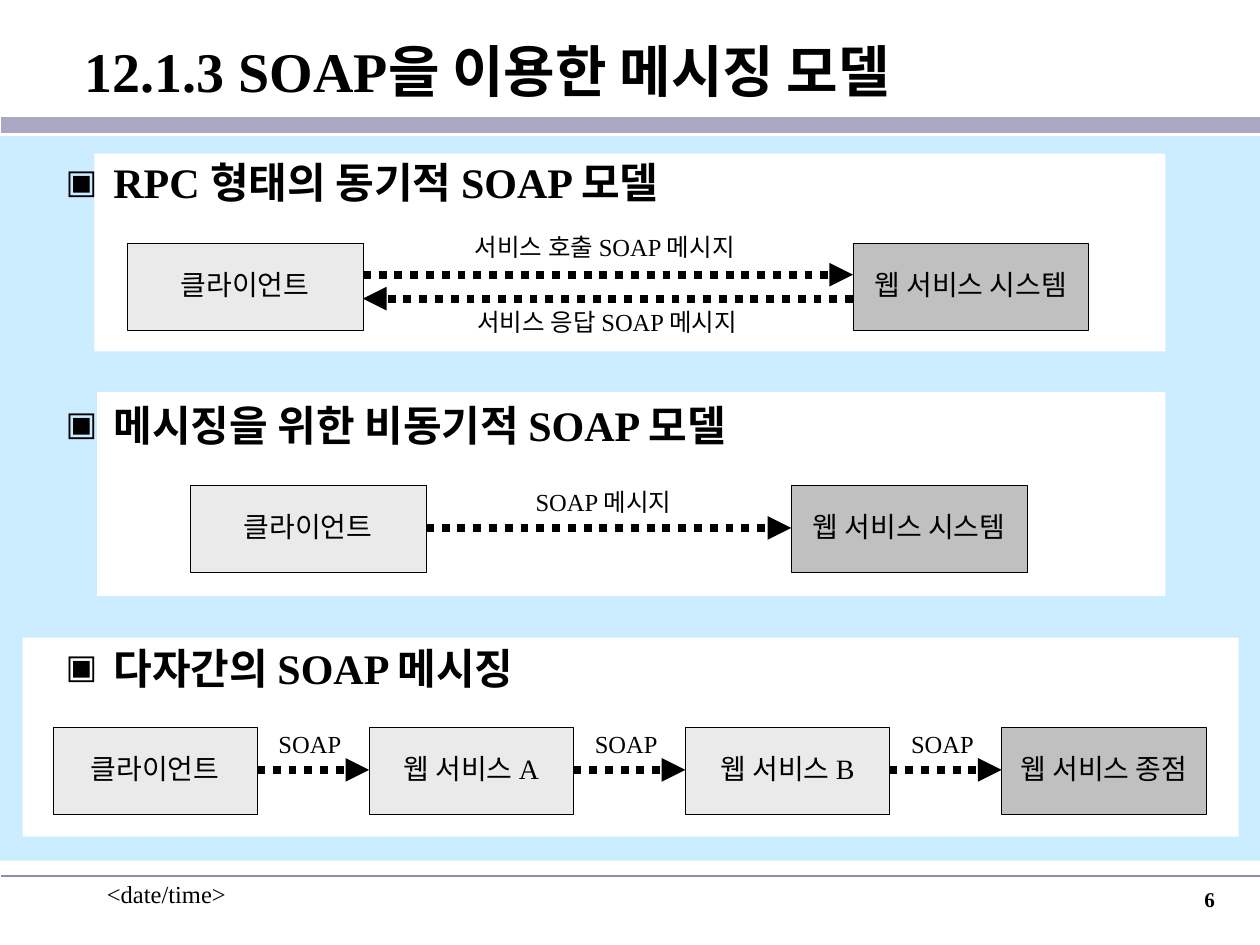
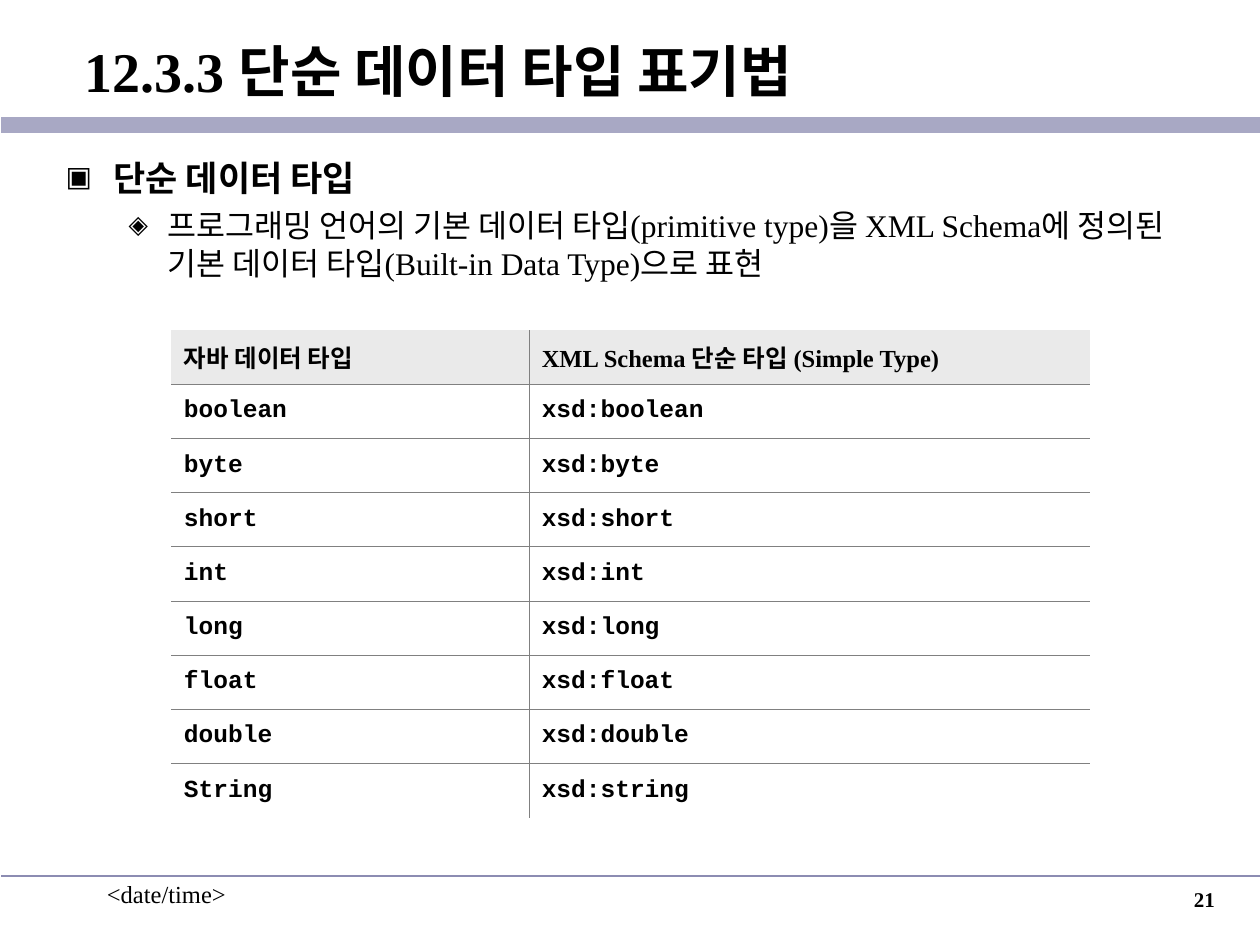
import pptx
import pptx.util
import pptx.dml.color
import pptx.enum.dml
import pptx.enum.shapes
import pptx.enum.text
import pptx.oxml
import pptx.oxml.ns
from lxml import etree

Inches = pptx.util.Inches
Pt = pptx.util.Pt
PP_ALIGN = pptx.enum.text.PP_ALIGN
ANCHOR = pptx.enum.text.MSO_ANCHOR

COLORS = {
    "text": "000000",
    "band": "A8A8C4",
    "footer_rule": "8C8CB2",
    "backdrop": "CCECFF",
    "panel": "FFFFFF",
    "node": "EAEAEA",
    "endpoint": "C0C0C0",
    "grid": "808080",
}
TEXT_FONT = "Times New Roman"
CODE_FONT = "Courier New"
NODE_HEIGHT = 0.69


def color(name):
    return pptx.dml.color.RGBColor.from_string(COLORS[name])


def add_element(parent, tag, **attributes):
    return etree.SubElement(parent, pptx.oxml.ns.qn(tag), attributes)


def add_run(paragraph, text, size, bold=False, font=TEXT_FONT):
    run = paragraph.add_run()
    run.text = text
    run.font.name = font
    run.font.size = Pt(size)
    run.font.bold = bold
    run.font.color.rgb = color("text")


# Shared slide parts
def add_line(slide, start, end, color_name, width):
    line = slide.shapes.add_connector(
        pptx.enum.shapes.MSO_CONNECTOR.STRAIGHT,
        Inches(start[0]), Inches(start[1]), Inches(end[0]), Inches(end[1]))
    line.line.color.rgb = color(color_name)
    line.line.width = Pt(width)
    add_element(line._element.spPr, "a:effectLst")
    return line


def add_text(slide, left, top, width, height, text, size, bold=False,
             align=PP_ALIGN.LEFT, wrap=True):
    box = slide.shapes.add_textbox(
        Inches(left), Inches(top), Inches(width), Inches(height))
    box.text_frame.word_wrap = wrap
    paragraph = box.text_frame.paragraphs[0]
    paragraph.alignment = align
    add_run(paragraph, text, size, bold)
    return paragraph


def place(placeholder, left, top, width, height, anchor):
    placeholder.left, placeholder.top = Inches(left), Inches(top)
    placeholder.width, placeholder.height = Inches(width), Inches(height)
    frame = placeholder.text_frame
    frame.auto_size = pptx.enum.text.MSO_AUTO_SIZE.NONE
    frame.vertical_anchor = anchor
    return frame


def indent(paragraph, margin, first_line=0.0):
    properties = paragraph._p.get_or_add_pPr()
    properties.set("marL", str(Inches(margin)))
    properties.set("indent", str(Inches(first_line)))
    return properties


def add_slide(presentation, title, number):
    slide = presentation.slides.add_slide(presentation.slide_layouts[1])
    add_line(slide, (0.01, 0.99), (10, 0.99), "band", 9.25)
    add_line(slide, (0.01, 6.95), (10, 6.95), "footer_rule", 1)
    add_text(slide, 0.75, 6.93, 2.08, 0.5, "<date/time>", 14)
    add_text(slide, 7.66, 6.99, 2.08, 0.5, number, 12, True, PP_ALIGN.RIGHT)
    frame = place(slide.shapes.title, 0.01, 0.11, 9.99, 0.9, ANCHOR.MIDDLE)
    paragraph = frame.paragraphs[0]
    indent(paragraph, 0.56)
    paragraph.alignment = PP_ALIGN.LEFT
    add_run(paragraph, title, 32, True)
    return slide


def add_bullet(frame, text, size, level=0, space_before=0):
    paragraph = frame.paragraphs[0]
    if paragraph.runs:
        paragraph = frame.add_paragraph()
    paragraph.level = level
    margin, hanging, mark = [(0.38, -0.38, "▣"), (0.81, -0.31, "◈")][level]
    properties = indent(paragraph, margin, hanging)
    bullet_color = add_element(properties, "a:buClr")
    add_element(bullet_color, "a:srgbClr", val=COLORS["text"])
    add_element(properties, "a:buSzPct", val="80000")
    add_element(properties, "a:buChar", char=mark)
    paragraph.space_before = Pt(space_before)
    add_run(paragraph, text, size, bold=level == 0)


# Diagram parts
def add_box(slide, left, top, width, height, fill):
    box = slide.shapes.add_shape(
        pptx.enum.shapes.MSO_SHAPE.RECTANGLE,
        Inches(left), Inches(top), Inches(width), Inches(height))
    box.shadow.inherit = False
    box.fill.solid()
    box.fill.fore_color.rgb = color(fill)
    box.line.fill.background()
    return box


def add_node(slide, left, top, width, text, fill="node"):
    node = add_box(slide, left, top, width, NODE_HEIGHT, fill)
    node.line.color.rgb = color("text")
    node.line.width = Pt(0.25)
    frame = node.text_frame
    frame.word_wrap = False
    frame.vertical_anchor = ANCHOR.MIDDLE
    paragraph = frame.paragraphs[0]
    paragraph.alignment = PP_ALIGN.CENTER
    paragraph.line_spacing = 0.85
    add_run(paragraph, text, 16)


def add_arrow(slide, start_x, end_x, y):
    arrow = add_line(slide, (start_x, y), (end_x, y), "text", 4.5)
    arrow.line.dash_style = pptx.enum.dml.MSO_LINE.ROUND_DOT
    add_element(arrow.line._get_or_add_ln(), "a:tailEnd", type="triangle")


def add_label(slide, center, top, width, text):
    paragraph = add_text(slide, center - width / 2, top, width, 0.3, text, 14,
                         align=PP_ALIGN.CENTER, wrap=False)
    paragraph.line_spacing = 0.85


# Table parts
def set_borders(cell, drawn_sides):
    properties = cell._tc.get_or_add_tcPr()
    for side in "LRTB":
        border = add_element(properties, "a:ln" + side, w=str(Pt(0.45)))
        if side in drawn_sides:
            fill = add_element(border, "a:solidFill")
            add_element(fill, "a:srgbClr", val=COLORS["grid"])
        else:
            add_element(border, "a:noFill")


def add_type_table(slide, rows):
    column_widths = (2.84, 4.45)
    row_height = 0.43
    table = slide.shapes.add_table(
        len(rows), 2, Inches(1.36), Inches(2.62),
        Inches(sum(column_widths)), Inches(row_height * len(rows))).table
    table.first_row = table.horz_banding = False
    for column, width in zip(table.columns, column_widths):
        column.width = Inches(width)
    for row_index, texts in enumerate(rows):
        table.rows[row_index].height = Inches(row_height)
        is_header = row_index == 0
        for column_index, text in enumerate(texts):
            cell = table.cell(row_index, column_index)
            sides = "RL"[column_index]
            sides += "" if is_header else "T"
            sides += "" if row_index == len(rows) - 1 else "B"
            set_borders(cell, sides)
            cell.fill.solid()
            cell.fill.fore_color.rgb = color("node" if is_header else "panel")
            cell.vertical_anchor = ANCHOR.MIDDLE
            add_run(cell.text_frame.paragraphs[0], text, 14, True,
                    TEXT_FONT if is_header else CODE_FONT)


# Slides
def build_messaging_slide(presentation):
    slide = add_slide(presentation, "12.1.3 SOAP을 이용한 메시징 모델", "6")
    add_box(slide, 0, 1.08, 10, 5.75, "backdrop")
    for panel in [(0.75, 1.22, 8.5, 1.57), (0.77, 3.11, 8.48, 1.62),
                  (0.18, 5.06, 9.65, 1.58)]:
        add_box(slide, *panel, "panel")

    body = slide.placeholders[1]
    frame = place(body, 0.42, 1.19, 9.16, 5.71, ANCHOR.TOP)
    headings = ["RPC 형태의 동기적 SOAP 모델", "메시징을 위한 비동기적 SOAP 모델",
                "다자간의 SOAP 메시징"]
    for index, heading in enumerate(headings):
        add_bullet(frame, heading, 24, space_before=110 if index else 0)
    # Headings lie above the panels
    for placeholder in (slide.shapes.title, body):
        slide.shapes._spTree.append(placeholder._element)

    # Synchronous call and response
    add_node(slide, 1.01, 1.93, 1.87, "클라이언트")
    add_node(slide, 6.77, 1.93, 1.87, "웹 서비스 시스템", "endpoint")
    add_arrow(slide, 2.88, 6.77, 2.18)
    add_arrow(slide, 6.77, 2.88, 2.37)
    add_label(slide, 4.8, 1.83, 2.45, "서비스 호출 SOAP 메시지")
    add_label(slide, 4.82, 2.42, 2.45, "서비스 응답 SOAP 메시지")

    # Asynchronous message
    add_node(slide, 1.51, 3.85, 1.87, "클라이언트")
    add_node(slide, 6.28, 3.85, 1.87, "웹 서비스 시스템", "endpoint")
    add_arrow(slide, 3.38, 6.28, 4.19)
    add_label(slide, 4.79, 3.85, 1.36, "SOAP 메시지")

    # Chain of services
    names = ["클라이언트", "웹 서비스 A", "웹 서비스 B", "웹 서비스 종점"]
    width, pitch = 1.62, 2.51
    for index, name in enumerate(names):
        left = 0.42 + index * pitch
        is_last = index == len(names) - 1
        add_node(slide, left, 5.77, width, name, "endpoint" if is_last else "node")
        if not is_last:
            add_arrow(slide, left + width, left + pitch, 6.11)
            add_label(slide, left + 2.04, 5.77, 0.7, "SOAP")


def build_types_slide(presentation):
    slide = add_slide(presentation, "12.3.3 단순 데이터 타입 표기법", "21")
    frame = place(slide.placeholders[1], 0.42, 1.19, 9.16, 1.43, ANCHOR.TOP)
    add_bullet(frame, "단순 데이터 타입", 20)
    add_bullet(frame, "프로그래밍 언어의 기본 데이터 타입(primitive type)을 XML Schema에 "
               "정의된 기본 데이터 타입(Built-in Data Type)으로 표현", 18, 1, 4.5)
    java_types = ["boolean", "byte", "short", "int", "long", "float",
                  "double", "String"]
    header = ("자바 데이터 타입", "XML Schema 단순 타입 (Simple Type)")
    add_type_table(slide, [header] + [(name, "xsd:" + name.lower())
                                      for name in java_types])


def main():
    presentation = pptx.Presentation()
    presentation.slide_width = Inches(10)
    presentation.slide_height = Inches(7.5)
    build_messaging_slide(presentation)
    build_types_slide(presentation)
    presentation.save("out.pptx")


if __name__ == "__main__":
    main()
